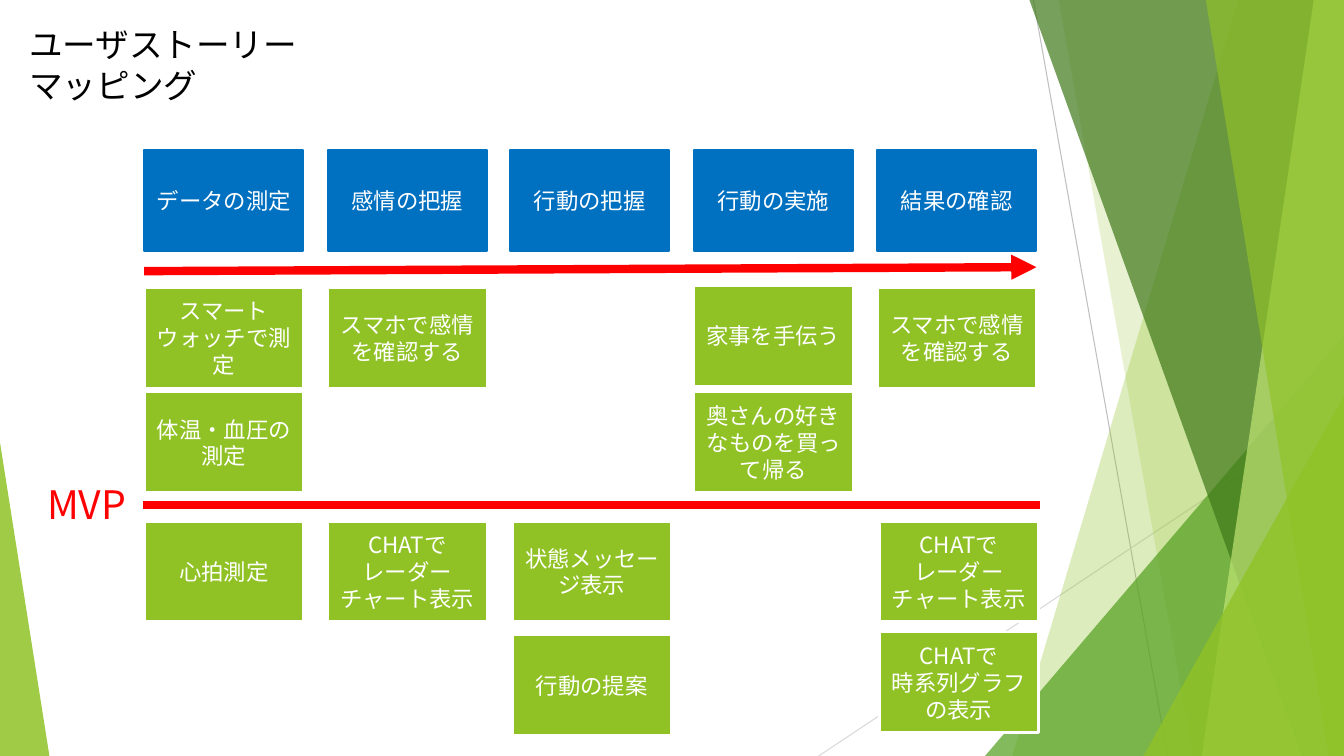
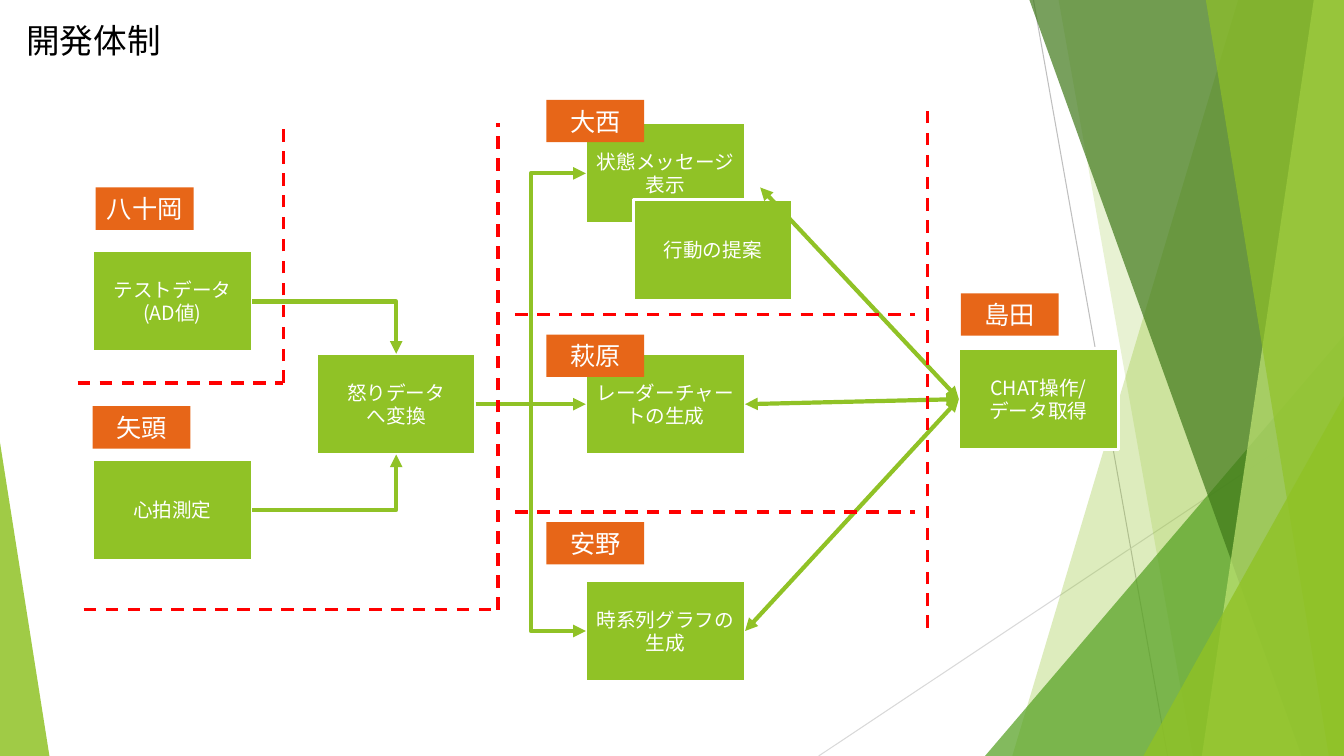
from dataclasses import dataclass

from lxml.etree import SubElement
from pptx import Presentation
from pptx.dml.color import RGBColor
from pptx.enum.dml import MSO_LINE
from pptx.enum.shapes import MSO_CONNECTOR, MSO_SHAPE
from pptx.enum.text import MSO_ANCHOR, MSO_AUTO_SIZE, PP_ALIGN
from pptx.oxml.ns import qn
from pptx.util import Inches, Pt

FONT = "Noto Sans CJK JP"
WIDE, HIGH = 13.33, 7.5
BLACK, WHITE, RED = "000000", "FFFFFF", "FF0000"
GREEN, BLUE, ORANGE = "90C226", "0070C0", "E76618"
CARD = (1.58, 1)
TAG = (0.97, 0.42)
TOP, LEFT, BOTTOM, RIGHT = range(4)


@dataclass
class Band:
    """Panel from a slanted left edge to the right side of the slide."""
    top: float
    foot: float
    fill: str
    alpha: int


@dataclass
class Wedge:
    """Right triangle on the bottom edge; apex 0 is left, 1 is right."""
    x: float
    y: float
    width: float
    apex: int
    fill: str
    alpha: int


@dataclass
class Story:
    col: int
    y: float
    text: str
    shift: float = 0


@dataclass
class Task:
    key: str
    x: float
    y: float
    text: str


@dataclass
class Owner:
    x: float
    y: float
    name: str


@dataclass
class Flow:
    start: str
    out: int
    end: str
    into: int
    kind: str


DECOR = [
    Band(12.28, 10.04, GREEN, 30),
    Band(10.5, 11.83, GREEN, 20),
    Wedge(9.77, 3.33, 3.56, 1, "54A021", 72),
    Band(10.21, 12.91, "3F7819", 70),
    Band(13.03, 11.92, "C0E474", 70),
    Band(11.96, 13.18, GREEN, 65),
    Wedge(11.34, 3.93, 1.99, 1, GREEN, 80),
    Wedge(0, 4.39, 0.49, 0, GREEN, 85),
]

STEPS = ["データの測定", "感情の把握", "行動の把握", "行動の実施", "結果の確認"]
STORIES = [
    Story(0, 2.85, "スマートウォッチで測定"),
    Story(0, 3.89, "体温・血圧の測定"),
    Story(0, 5.17, "心拍測定"),
    Story(1, 2.85, "スマホで感情を確認する"),
    Story(1, 5.17, "CHATで\nレーダーチャート表示"),
    Story(2, 5.17, "状態メッセージ表示", 0.02),
    Story(2, 6.3, "行動の提案", 0.02),
    Story(3, 2.83, "家事を手伝う"),
    Story(3, 3.89, "奥さんの好きなものを買って帰る"),
    Story(4, 2.85, "スマホで感情を確認する"),
    Story(4, 6.27, "CHATで\n時系列グラフの表示", 0.02),
    Story(4, 5.17, "CHATで\nレーダーチャート表示", 0.02),
]

TASKS = [
    Task("test", 0.92, 2.49, "テストデータ\n(AD値)"),
    Task("pulse", 0.92, 4.56, "心拍測定"),
    Task("state", 5.81, 1.22, "状態メッセージ表示"),
    Task("radar", 5.81, 3.51, "レーダーチャートの生成"),
    Task("anger", 3.14, 3.51, "怒りデータ\nへ変換"),
    Task("graph", 5.81, 5.76, "時系列グラフの生成"),
    Task("advice", 6.28, 1.98, "行動の提案"),
    Task("chat", 9.51, 3.46, "CHAT操作/\nデータ取得"),
]
FLOWS = [
    Flow("test", RIGHT, "anger", TOP, "corner"),
    Flow("pulse", RIGHT, "anger", BOTTOM, "corner"),
    Flow("anger", RIGHT, "state", LEFT, "step"),
    Flow("anger", RIGHT, "graph", LEFT, "step"),
    Flow("anger", RIGHT, "radar", LEFT, "line"),
    Flow("radar", RIGHT, "chat", LEFT, "both"),
    Flow("graph", RIGHT, "chat", LEFT, "both"),
]
OWNERS = [
    Owner(0.95, 1.86, "八十岡"),
    Owner(0.92, 4.03, "矢頭"),
    Owner(5.42, 5.18, "安野"),
    Owner(5.42, 3.32, "萩原"),
    Owner(5.42, 0.99, "大西"),
    Owner(9.53, 2.91, "島田"),
]
FENCES = [
    (0.77, 3.8, 2.81, 3.8),
    (2.81, 3.8, 2.81, 1.22),
    (0.83, 6.05, 4.94, 6.05),
    (4.94, 6.05, 4.94, 1.22),
    (5.11, 3.12, 9.08, 3.12),
    (5.11, 5.08, 9.08, 5.08),
    (9.2, 6.23, 9.2, 1.08),
]


def tint(color: str) -> RGBColor:
    return RGBColor.from_string(color)


def paint(shape, color: str, alpha: int = 100) -> None:
    shape.shadow.inherit = False
    shape.fill.solid()
    shape.fill.fore_color.rgb = tint(color)
    if alpha < 100:
        node = shape.fill.fore_color._xFill[0]
        SubElement(node, qn("a:alpha"), val=str(alpha * 1000))


def write(frame, text: str, *, size: int, color: str = WHITE,
          align=PP_ALIGN.CENTER, anchor=MSO_ANCHOR.MIDDLE,
          wrap: bool = True) -> None:
    frame.text = text
    frame.auto_size = MSO_AUTO_SIZE.NONE
    frame.word_wrap = wrap
    frame.vertical_anchor = anchor
    for para in frame.paragraphs:
        para.alignment = align
        para.line_spacing = Pt(round(size * 1.2, 1))
        for run in para.runs:
            font = run.font
            font.size, font.name = Pt(size), FONT
            font.color.rgb = tint(color)
            SubElement(font._element, qn("a:ea"), typeface=FONT)


def box(shapes, x: float, y: float, text: str, *, size: int,
        area=CARD, fill: str = GREEN, edge: str = WHITE, width: float = 2):
    shape = shapes.add_shape(MSO_SHAPE.RECTANGLE, Inches(x), Inches(y),
                             Inches(area[0]), Inches(area[1]))
    paint(shape, fill)
    if width:
        shape.line.color.rgb = tint(edge)
        shape.line.width = Pt(width)
    else:
        shape.line.fill.background()
    write(shape.text_frame, text, size=size)
    return shape


def link(shapes, ends, *, color: str, width: float, bent: bool = False,
         dash: bool = False, head: bool = False, tail: bool = False):
    kind = MSO_CONNECTOR.ELBOW if bent else MSO_CONNECTOR.STRAIGHT
    line = shapes.add_connector(kind, *(Inches(n) for n in ends))
    line.line.color.rgb = tint(color)
    line.line.width = Pt(width)
    if dash:
        line.line.dash_style = MSO_LINE.DASH
    props = line.element.spPr
    for name, shown in (("a:headEnd", head), ("a:tailEnd", tail)):
        if shown:
            SubElement(props.find(qn("a:ln")), qn(name), type="triangle")
    SubElement(props, qn("a:effectLst"))
    return line


def adorn(slide, layout) -> None:
    """Draw the backdrop once and move it into the layout."""
    group = slide.shapes.add_group_shape()
    shapes = group.shapes
    link(shapes, (10.25, 0, 11.58, HIGH), color="BFBFBF", width=0.75)
    link(shapes, (WIDE, 4.03, 8.12, HIGH), color="D9D9D9", width=0.75)
    for part in DECOR:
        if isinstance(part, Band):
            path = shapes.build_freeform(Inches(part.top), 0)
            path.add_line_segments([
                (Inches(WIDE), 0), (Inches(WIDE), Inches(HIGH)),
                (Inches(part.foot), Inches(HIGH))])
            shape = path.convert_to_shape()
        else:
            shape = shapes.add_shape(
                MSO_SHAPE.ISOSCELES_TRIANGLE, Inches(part.x), Inches(part.y),
                Inches(part.width), Inches(HIGH - part.y))
            shape.adjustments[0] = part.apex
        paint(shape, part.fill, part.alpha)
        shape.line.fill.background()
    for num, node in enumerate(group.element.iter(qn("p:cNvPr")), 100):
        node.set("id", str(num))
    layout.shapes.element.insert(2, group.element)


def start(deck, text: str, x: float, y: float, width: float):
    slide = deck.slides.add_slide(deck.slide_layouts[5])
    title = slide.shapes.title
    title.left, title.top = Inches(x), Inches(y)
    title.width, title.height = Inches(width), Inches(0.5)
    write(title.text_frame, text, size=24, color=BLACK,
          align=PP_ALIGN.LEFT, anchor=MSO_ANCHOR.TOP)
    return slide


def plan(slide) -> None:
    shapes = slide.shapes
    cols = [round(1.43 + 1.8175 * num, 2) for num in range(len(STEPS))]
    for x, step in zip(cols, STEPS):
        box(shapes, x, 1.49, step, size=16, fill=BLUE, edge=BLUE, width=1.5)
    link(shapes, (1.43, 2.69, 10.28, 2.65), color=RED, width=6, tail=True)
    link(shapes, (1.42, 5.01, 10.32, 5.01), color=RED, width=6)
    for item in STORIES:
        box(shapes, cols[item.col] + item.shift, item.y, item.text, size=16)
    label = shapes.add_textbox(Inches(0.37), Inches(4.72),
                               Inches(1.03), Inches(0.57))
    write(label.text_frame, "MVP", size=28, color=RED, align=PP_ALIGN.LEFT,
          anchor=MSO_ANCHOR.TOP, wrap=False)


def team(slide) -> None:
    shapes = slide.shapes
    cards = {item.key: box(shapes, item.x, item.y, item.text, size=14)
             for item in TASKS}
    for flow in FLOWS:
        line = link(shapes, (0, 0, 1, 1), color=GREEN, width=3,
                    bent=flow.kind in ("corner", "step"),
                    head=flow.kind == "both", tail=True)
        line.begin_connect(cards[flow.start], flow.out)
        line.end_connect(cards[flow.end], flow.into)
        if flow.kind == "corner":
            shape = line.element.spPr.find(qn("a:prstGeom"))
            shape.set("prst", "bentConnector2")
    link(shapes, (7.54, 1.86, 9.51, 3.96), color=GREEN, width=3,
         head=True, tail=True)
    for ends in FENCES:
        link(shapes, ends, color=RED, width=2.25, dash=True)
    for owner in OWNERS:
        box(shapes, owner.x, owner.y, owner.name, size=18, area=TAG,
            fill=ORANGE, width=0)


def main() -> None:
    deck = Presentation()
    deck.slide_width, deck.slide_height = Inches(WIDE), Inches(HIGH)
    story = start(deck, "ユーザストーリーマッピング", 0.19, 0.19, 3.49)
    adorn(story, deck.slide_layouts[5])
    plan(story)
    team(start(deck, "開発体制", 0.16, 0.15, 1.55))
    deck.save("out.pptx")


if __name__ == "__main__":
    main()
